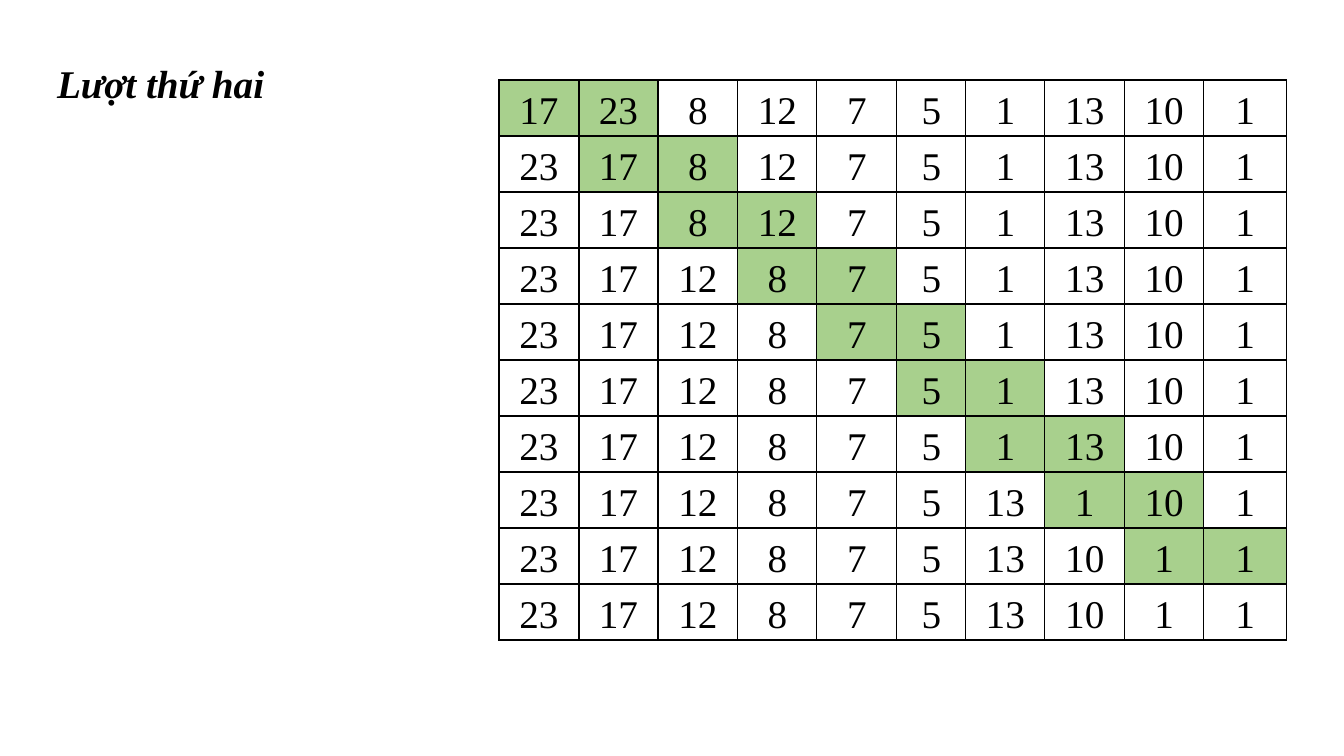
from dataclasses import dataclass
from itertools import pairwise

from lxml.etree import SubElement
from pptx import Presentation
from pptx.dml.color import RGBColor
from pptx.enum.text import MSO_ANCHOR, MSO_AUTO_SIZE, PP_ALIGN
from pptx.oxml.ns import qn
from pptx.util import Emu, Pt

SCALE = 12192000 / 1344
FONT = "Times New Roman"
BLACK, GREEN = "000000", "A8D08D"
START = [17, 23, 8, 12, 7, 5, 1, 13, 10, 1]
EDGES = [499, 579, 658, 738, 817, 897, 966, 1045, 1125, 1204, 1287]
TOP, ROW = 80, 56


@dataclass
class Step:
    nums: list[int]
    pair: tuple[int, ...]


def px(num: int) -> Emu:
    return Emu(round(num * SCALE))


def color(code: str) -> RGBColor:
    return RGBColor.from_string(code)


def write(frame, text: str, *, align=PP_ALIGN.CENTER, bold=False, slant=False) -> None:
    para = frame.paragraphs[0]
    para.alignment = align
    para.line_spacing = 1.15
    para.space_before = para.space_after = Pt(6)
    run = para.add_run()
    run.text = text
    font = run.font
    font.name, font.size, font.bold, font.italic = FONT, Pt(28), bold, slant
    font.color.rgb = color(BLACK)


def border(cell) -> None:
    props = cell._tc.get_or_add_tcPr()
    for side in ("lnL", "lnR", "lnT", "lnB"):
        line = SubElement(props, qn(f"a:{side}"), w=str(Pt(1)))
        fill = SubElement(line, qn("a:solidFill"))
        SubElement(fill, qn("a:srgbClr"), val=BLACK)


def sweep(nums: list[int]) -> list[Step]:
    """One bubble pass, larger numbers first."""
    nums, steps = list(nums), []
    for i in range(len(nums) - 1):
        steps.append(Step(list(nums), (i, i + 1)))
        if nums[i] < nums[i + 1]:
            nums[i], nums[i + 1] = nums[i + 1], nums[i]
    return steps + [Step(nums, ())]


def draw(grid, row: int, step: Step) -> None:
    grid.rows[row].height = px(ROW)
    for col, num in enumerate(step.nums):
        cell = grid.cell(row, col)
        cell.margin_left = cell.margin_right = px(7)
        cell.margin_top = cell.margin_bottom = 0
        cell.vertical_anchor = MSO_ANCHOR.MIDDLE
        border(cell)
        if col in step.pair:
            cell.fill.solid()
            cell.fill.fore_color.rgb = color(GREEN)
        else:
            cell.fill.background()
        write(cell.text_frame, str(num))


# Slide
deck = Presentation()
deck.slide_width, deck.slide_height = px(1344), px(756)
slide = deck.slides.add_slide(deck.slide_layouts[5])

# Title
title = slide.shapes.title
title.left, title.top, title.width, title.height = px(47), px(47), px(230), px(60)
frame = title.text_frame
frame.word_wrap = False
frame.auto_size = MSO_AUTO_SIZE.SHAPE_TO_FIT_TEXT
frame.vertical_anchor = MSO_ANCHOR.TOP
write(frame, "Lượt thứ hai", align=PP_ALIGN.JUSTIFY, bold=True, slant=True)

# Table of steps
steps = sweep(START)
grid = slide.shapes.add_table(
    len(steps), len(START), px(EDGES[0]), px(TOP),
    px(EDGES[-1] - EDGES[0]), px(ROW * len(steps))).table
grid.first_row = grid.horz_banding = False
for col, (left, right) in enumerate(pairwise(EDGES)):
    grid.columns[col].width = px(right - left)
for row, step in enumerate(steps):
    draw(grid, row, step)

deck.save("out.pptx")
